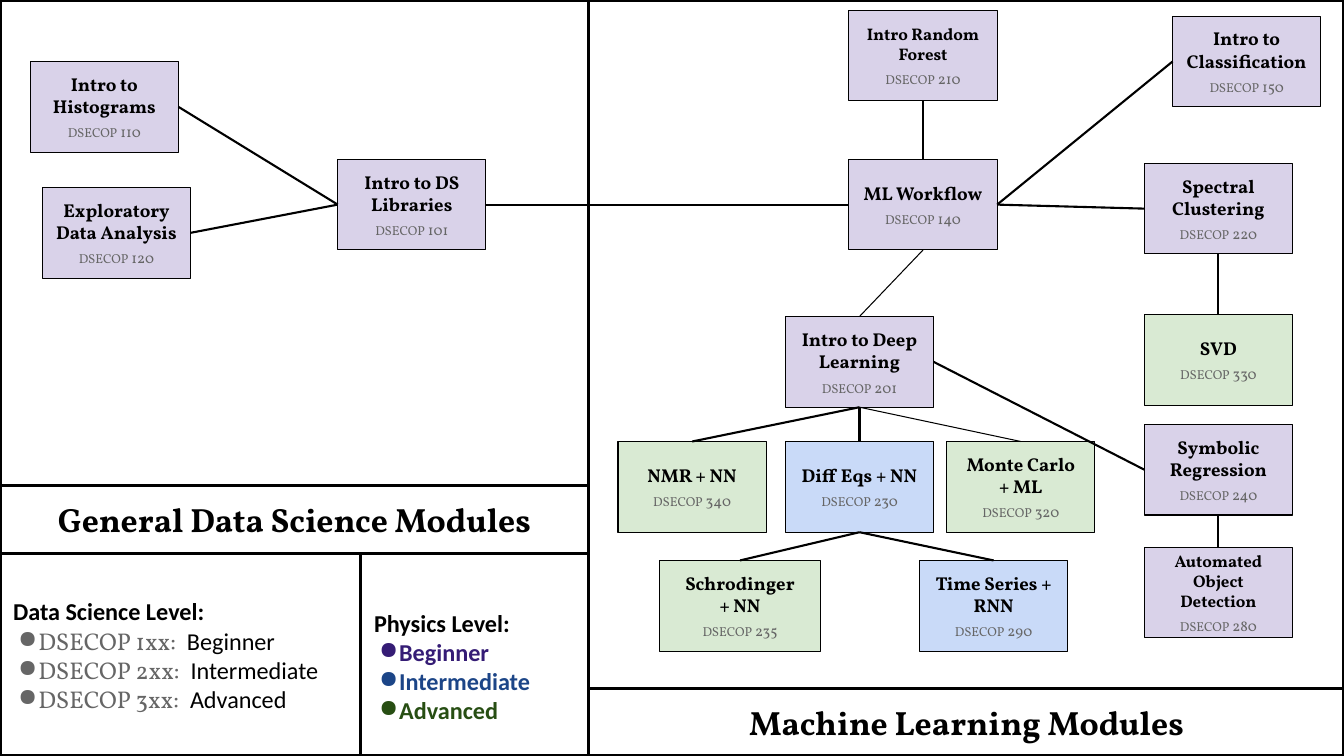
from lxml import etree
from pptx import Presentation
from pptx.dml.color import RGBColor
from pptx.enum import shapes, text
from pptx.oxml.ns import qn
from pptx.util import Inches, Pt

COLORS = {
    "black": "000000", "white": "FFFFFF", "code": "666666",
    "beginner": "D9D2E9", "intermediate": "C9DAF8", "advanced": "D9EAD3",
    "beginner text": "351C75", "intermediate text": "1C4587", "advanced text": "274E13",
}
SERIF, SANS = "Vollkorn", "Calibri"
TOP, LEFT, BOTTOM, RIGHT = range(4)
BOX_W, BOX_H = 1.47, 0.9
SMALL, LARGE, LEGEND = 12, 13.3, 17.3

# DSECOP number: (title, left, top, physics level)
MODULES = {
    101: ("Intro to DS Libraries", 3.35, 1.58, "beginner"),
    140: ("ML Workflow", 8.42, 1.58, "beginner"),
    120: ("Exploratory Data Analysis", 0.42, 1.86, "beginner"),
    110: ("Intro to Histograms", 0.3, 0.61, "beginner"),
    150: ("Intro to Classification", 11.63, 0.16, "beginner"),
    220: ("Spectral Clustering", 11.35, 1.62, "beginner"),
    210: ("Intro Random Forest", 8.42, 0.1, "beginner"),
    201: ("Intro to Deep Learning", 7.79, 3.14, "beginner"),
    230: ("Diff Eqs + NN", 7.79, 4.38, "intermediate"),
    235: ("Schrodinger\n+ NN", 6.54, 5.56, "advanced"),
    290: ("Time Series + RNN", 9.12, 5.56, "intermediate"),
    240: ("Symbolic Regression", 11.35, 4.21, "beginner"),
    280: ("Automated Object Detection", 11.35, 5.43, "beginner"),
    340: ("NMR + NN", 6.13, 4.38, "advanced"),
    320: ("Monte Carlo + ML", 9.39, 4.38, "advanced"),
    330: ("SVD", 11.35, 3.12, "advanced"),
}
WIDTHS = {235: 1.6}
TITLE_SIZES = {210: SMALL, 280: SMALL}

# (from, side, to, side)
LINKS = [
    (101, RIGHT, 140, LEFT), (101, LEFT, 110, RIGHT), (101, LEFT, 120, RIGHT),
    (140, RIGHT, 150, LEFT), (140, RIGHT, 220, LEFT), (140, BOTTOM, 201, TOP),
    (201, BOTTOM, 230, TOP), (230, BOTTOM, 235, TOP), (230, BOTTOM, 290, TOP),
    (140, TOP, 210, BOTTOM), (240, BOTTOM, 280, TOP), (201, BOTTOM, 340, TOP),
    (201, BOTTOM, 320, TOP), (220, BOTTOM, 330, TOP), (201, RIGHT, 240, LEFT),
]
THIN_LINKS = {(140, 201), (201, 320)}


def rgb(name):
    return RGBColor.from_string(COLORS[name])


def add_box(s, left, top, width, height, fill=None, line=2.25):
    sp = s.shapes.add_shape(shapes.MSO_SHAPE.RECTANGLE, Inches(left), Inches(top),
                            Inches(width), Inches(height))
    sp.shadow.inherit = False
    if fill:
        sp.fill.solid()
        sp.fill.fore_color.rgb = rgb(fill)
    else:
        sp.fill.background()
    sp.line.color.rgb = rgb("black")
    sp.line.width = Pt(line)
    tf = sp.text_frame
    tf.word_wrap = True
    tf.vertical_anchor = text.MSO_ANCHOR.TOP
    tf.margin_left = tf.margin_right = tf.margin_top = tf.margin_bottom = Inches(0.13)
    return sp


def add_run(p, words, size, font=SERIF, color="black", bold=False):
    r = p.add_run()
    r.text = words
    r.font.size = Pt(size)
    r.font.name = font
    r.font.bold = bold
    r.font.color.rgb = rgb(color)


def add_module(s, number):
    title, left, top, level = MODULES[number]
    sp = add_box(s, left, top, WIDTHS.get(number, BOX_W), BOX_H, level, 0.75)
    tf = sp.text_frame
    tf.vertical_anchor = text.MSO_ANCHOR.MIDDLE
    p = tf.paragraphs[0]
    p.alignment = text.PP_ALIGN.CENTER
    for i, part in enumerate(title.split("\n")):
        if i:
            p.add_line_break()
        add_run(p, part, TITLE_SIZES.get(number, LARGE), bold=True)
    p = tf.add_paragraph()
    p.alignment = text.PP_ALIGN.CENTER
    p.space_before = Pt(4)
    add_run(p, "DSECOP", 9.3, color="code")
    add_run(p, f" {number}", 10.7, color="code")
    return sp


def add_link(s, start, start_side, end, end_side, width):
    c = s.shapes.add_connector(shapes.MSO_CONNECTOR.STRAIGHT, 0, 0, 0, 0)
    c.begin_connect(start, start_side)
    c.end_connect(end, end_side)
    c.line.color.rgb = rgb("black")
    c.line.width = Pt(width)
    etree.SubElement(c._element.spPr, qn("a:effectLst"))


def add_heading(s, left, top, width, words):
    p = add_box(s, left, top, width, 0.67).text_frame.paragraphs[0]
    p.alignment = text.PP_ALIGN.CENTER
    add_run(p, words, 24, bold=True)


def add_bullet(tf, color):
    p = tf.add_paragraph()
    p.alignment = text.PP_ALIGN.LEFT
    pPr = p._p.get_or_add_pPr()
    pPr.set("marL", str(Inches(0.25)))
    pPr.set("indent", str(Inches(-0.2)))
    clr = etree.SubElement(pPr, qn("a:buClr"))
    etree.SubElement(clr, qn("a:srgbClr"), val=COLORS[color])
    etree.SubElement(pPr, qn("a:buChar"), char="●")
    return p


def add_legend(s, left, width, title, text_top):
    tf = add_box(s, left, 5.49, width, 2.01).text_frame
    tf.margin_top = Inches(text_top)
    p = tf.paragraphs[0]
    p.alignment = text.PP_ALIGN.LEFT
    add_run(p, title, LEGEND, SANS, bold=True)
    return tf


def main():
    prs = Presentation()
    prs.slide_width, prs.slide_height = Inches(13.33), Inches(7.5)
    s = prs.slides.add_slide(prs.slide_layouts[6])

    add_box(s, 0, 0, 5.84, 5.49, "white")
    add_box(s, 5.84, 0, 7.49, 7.5, "white")

    boxes = {number: add_module(s, number) for number in MODULES}
    for start, start_side, end, end_side in LINKS:
        width = 0.75 if (start, end) in THIN_LINKS else 1.5
        add_link(s, boxes[start], start_side, boxes[end], end_side, width)

    add_heading(s, 5.84, 6.83, 7.49, "Machine Learning Modules")
    add_heading(s, 0, 4.82, 5.84, "General Data Science Modules")

    levels = ("Beginner", "Intermediate", "Advanced")
    science = add_legend(s, 0, 3.58, "Data Science Level:", 0.43)
    physics = add_legend(s, 3.58, 2.26, "Physics Level:", 0.54)
    for i, level in enumerate(levels, 1):
        p = add_bullet(science, "code")
        add_run(p, f"DSECOP {i}xx:", LEGEND, color="code")
        add_run(p, f"  {level}", LEGEND, SANS)
        color = f"{level.lower()} text"
        add_run(add_bullet(physics, color), level, LEGEND, SANS, color, bold=True)

    prs.save("out.pptx")


if __name__ == "__main__":
    main()
